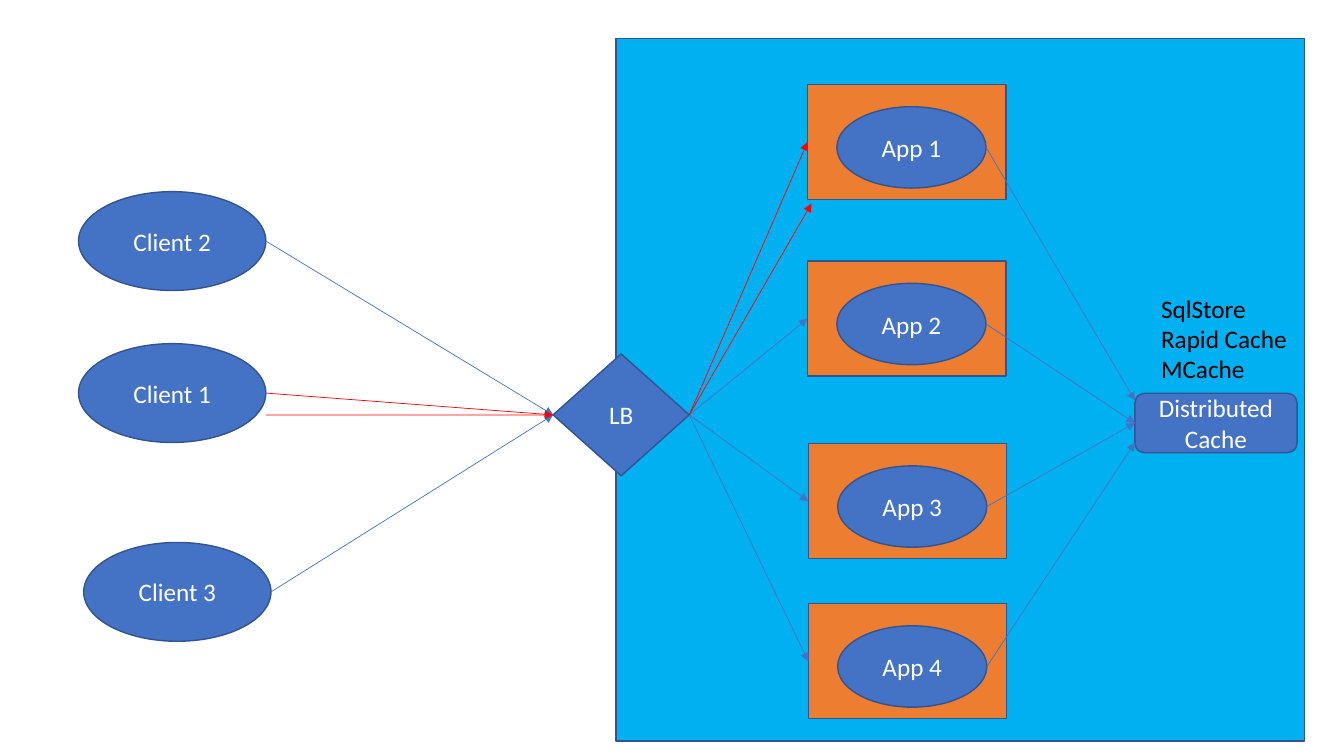
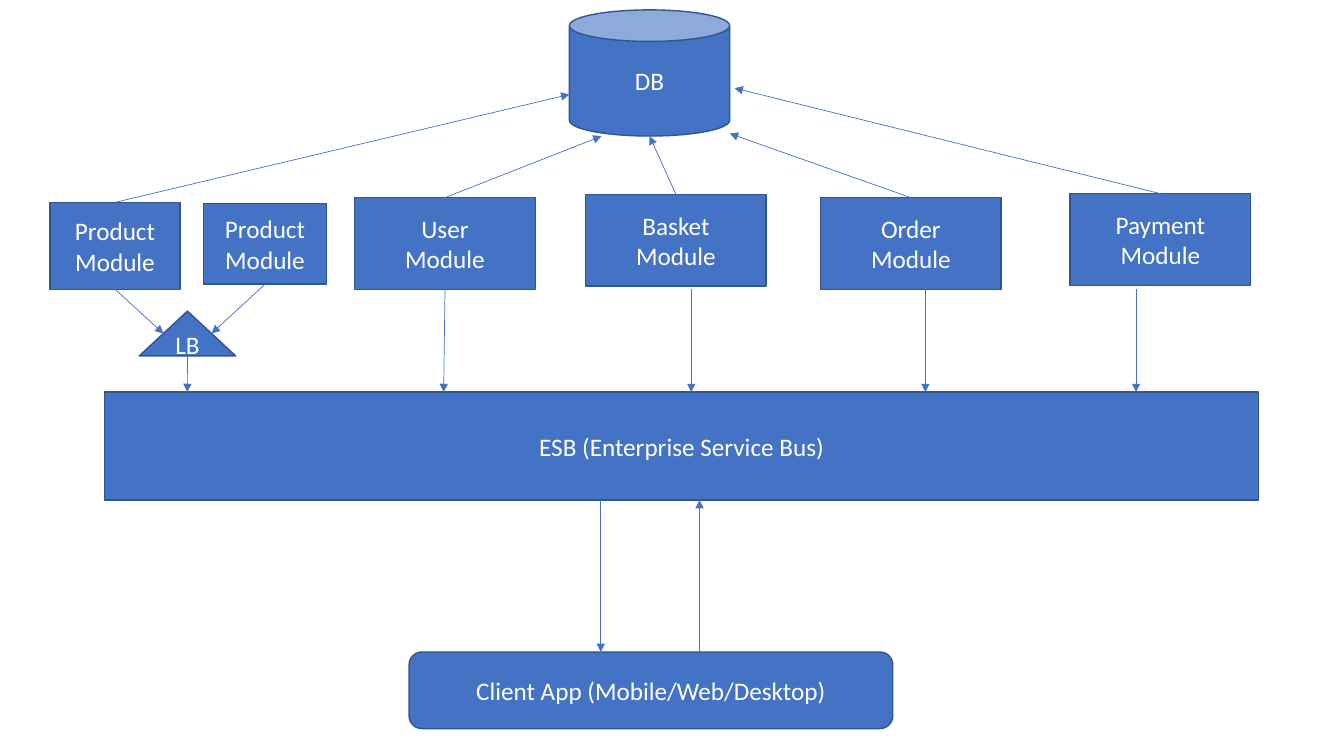
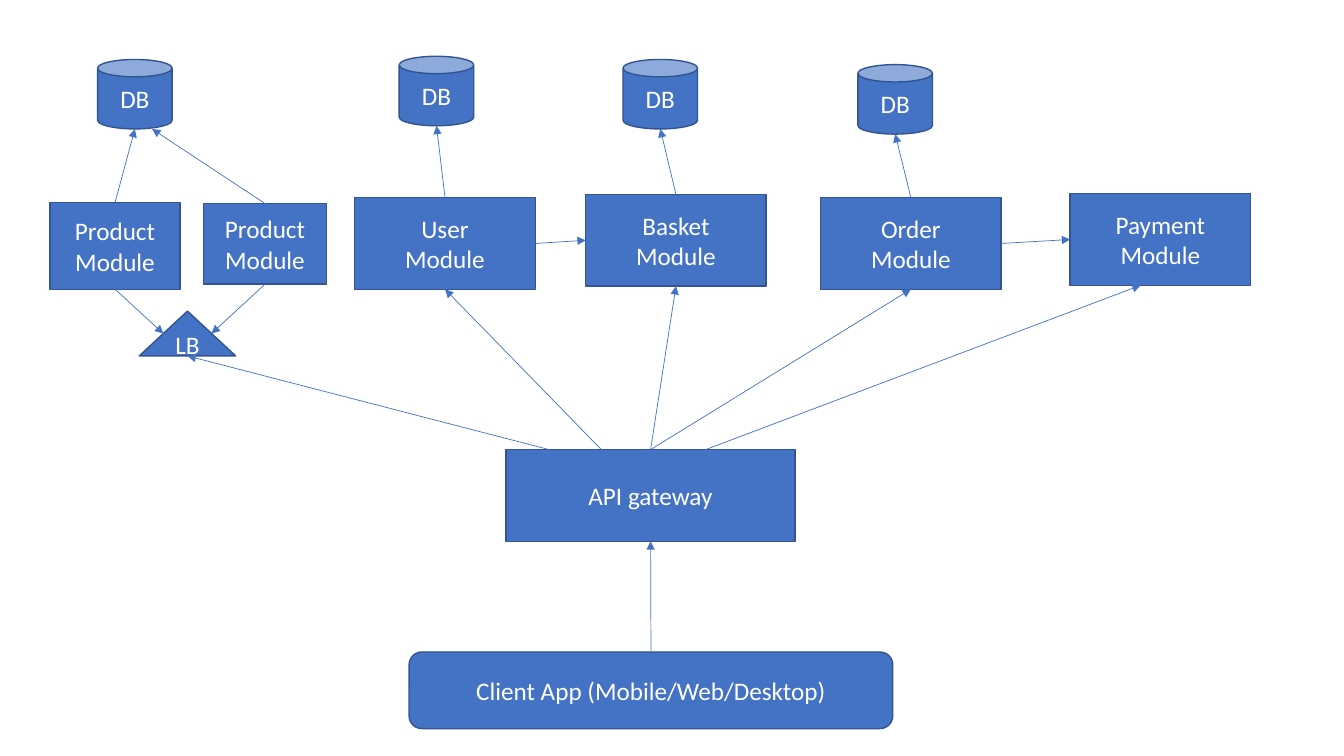
from lxml import etree
from pptx import Presentation
from pptx.dml.color import RGBColor
from pptx.enum import shapes, text
from pptx.oxml.ns import qn
from pptx.util import Cm, Pt

BLUE, EDGE, RED = "4472C4", "325491", "FF0000"
ORANGE, SKY, WHITE, BLACK = "ED7D31", "00B0F0", "FFFFFF", "000000"
KIND = shapes.MSO_SHAPE
SIDE = text.PP_ALIGN


def node(page, kind, box, label="", fill=BLUE, ink=WHITE, align=SIDE.CENTER):
    """Add a shape with its label, or a plain text box if kind is None."""
    spot = [Cm(n) for n in box]
    if kind is None:
        item = page.shapes.add_textbox(*spot)
        item.text_frame.auto_size = text.MSO_AUTO_SIZE.SHAPE_TO_FIT_TEXT
    else:
        item = page.shapes.add_shape(kind, *spot)
        item.shadow.inherit = False
        item.fill.solid()
        item.fill.fore_color.rgb = RGBColor.from_string(fill)
        item.line.color.rgb = RGBColor.from_string(EDGE)
        item.line.width = Pt(1)
        item.text_frame.vertical_anchor = text.MSO_ANCHOR.MIDDLE
    frame = item.text_frame
    frame.word_wrap = True
    frame.text = label
    for para in frame.paragraphs:
        para.alignment = align
        para.font.name = "Calibri"
        para.font.size = Pt(18)
        para.font.color.rgb = RGBColor.from_string(ink)
    return item


def arrow(page, start, end, color=BLUE):
    """Join two ends: (x, y) in cm, or (shape, part of width, part of height)."""
    ends = []
    for spot in (start, end):
        if len(spot) == 3:
            item, across, down = spot
            ends += [int(item.left + across * item.width),
                     int(item.top + down * item.height)]
        else:
            ends += [Cm(n) for n in spot]
    wire = page.shapes.add_connector(shapes.MSO_CONNECTOR.STRAIGHT, *ends)
    wire.line.color.rgb = RGBColor.from_string(color)
    wire.line.width = Pt(0.5)
    etree.SubElement(wire.line._get_or_add_ln(), qn("a:tailEnd"), type="triangle")
    etree.SubElement(wire._element.spPr, qn("a:effectLst"))


deck = Presentation()
deck.slide_width, deck.slide_height = Cm(33.87), Cm(19.05)
blank = deck.slide_layouts[6]

# Load balancing with a shared cache
page = deck.slides.add_slide(blank)
node(page, KIND.RECTANGLE, (15.52, 0.97, 17.35, 17.7), fill=SKY)
lb = node(page, KIND.DIAMOND, (13.94, 8.92, 3.43, 3.07), "LB")
cache = node(page, KIND.ROUNDED_RECTANGLE, (28.6, 9.91, 4.09, 1.5),
             "Distributed Cache")
node(page, None, (29.01, 7.26, 3.99, 2.57), "SqlStore\nRapid Cache\nMCache",
     ink=BLACK, align=SIDE.LEFT)

clients = [(1.98, 8.66, RED), (1.98, 4.83, BLUE), (2.11, 13.67, BLUE)]
for num, (x, y, color) in enumerate(clients, 1):
    client = node(page, KIND.OVAL, (x, y, 4.72, 2.49), f"Client {num}")
    arrow(page, (client, 1, 0.5), (lb, 0, 0.5), color)
arrow(page, (6.7, 10.46), (lb, 0, 0.5), RED)

servers = [(20.35, 2.13, RED, 0.12), (20.35, 6.58, BLUE, 0.5),
           (20.37, 11.18, BLUE, 0.5), (20.37, 15.21, BLUE, 0.83)]
for num, (x, y, color, down) in enumerate(servers, 1):
    server = node(page, KIND.RECTANGLE, (x, y, 5, 2.9), fill=ORANGE)
    app = node(page, KIND.OVAL, (x + 0.74, y + 0.56, 3.76, 2.05), f"App {num}")
    arrow(page, (lb, 1, 0.5), (server, 0, 0.5), color)
    arrow(page, (app, 1, 0.5), (cache, 0, down))
arrow(page, (lb, 1, 0.5), (20.45, 5.13), RED)

# Two ways to join the same modules: a service bus, then a gateway
modules = [("Product", 1.26, 5.1, 3.28, 2.19), ("Product", 5.13, 5.13, 3.1, 2.03),
           ("User", 8.94, 4.98, 4.55, 2.31), ("Basket", 14.76, 4.9, 4.55, 2.31),
           ("Order", 20.68, 4.98, 4.55, 2.31), ("Payment", 26.97, 4.88, 4.55, 2.31)]
views = []
for _ in range(2):
    page = deck.slides.add_slide(blank)
    parts = [node(page, KIND.RECTANGLE, box, f"{name}\nModule")
             for name, *box in modules]
    lb = node(page, KIND.ISOSCELES_TRIANGLE, (3.51, 7.84, 2.43, 1.13), "LB")
    client = node(page, KIND.ROUNDED_RECTANGLE, (10.31, 16.43, 12.19, 1.93),
                  "Client App (Mobile/Web/Desktop)")
    for part, across in zip(parts, (0.25, 0.75)):
        arrow(page, (part, 0.5, 1), (lb, across, 0.5))
    views.append((page, parts, lb, client))

# Service bus with one database
page, parts, lb, client = views[0]
first, second, user, basket, order, pay = parts
node(page, KIND.RECTANGLE, (2.64, 9.88, 29.08, 2.72), "ESB (Enterprise Service Bus)")
store = node(page, KIND.CAN, (14.35, 0.25, 4.04, 3.18), "DB")
for part, across, down in [(first, 0, 0.67), (user, 0.2, 1), (basket, 0.5, 1),
                           (order, 1, 0.98), (pay, 1.03, 0.62)]:
    arrow(page, (part, 0.5, 0), (store, across, down))
arrow(page, (lb, 0.5, 1), (4.72, 9.88))
arrow(page, (user, 0.5, 1), (11.18, 9.88))
for x in (17.42, 23.32, 28.63):
    arrow(page, (x, 7.29), (x, 9.88))
arrow(page, (15.14, 12.6), (15.14, 16.43))
arrow(page, (17.63, 16.43), (17.63, 12.6))

# Gateway with a database for each module
page, parts, lb, client = views[1]
first, second, user, basket, order, pay = parts
gate = node(page, KIND.RECTANGLE, (12.75, 11.33, 7.29, 2.31), "API gateway")
stores = []
for part, x, y in [(first, 2.46, 1.5), (user, 10.06, 1.42),
                   (basket, 15.7, 1.5), (order, 21.62, 1.63)]:
    store = node(page, KIND.CAN, (x, y, 1.88, 1.75), "DB")
    arrow(page, (part, 0.5, 0), (store, 0.5, 1))
    stores.append(store)
arrow(page, (second, 0.5, 0), (stores[0], 0.73, 1))
for across, part, end in [(0.15, lb, 0.5), (0.33, user, 0.5), (0.5, basket, 0.5),
                          (0.5, order, 0.5), (0.69, pay, 0.39)]:
    arrow(page, (gate, across, 0), (part, end, 1))
for left, right in [(user, basket), (order, pay)]:
    arrow(page, (left, 1, 0.5), (right, 0, 0.5))
arrow(page, (client, 0.5, 0), (gate, 0.5, 1))

deck.save("out.pptx")
